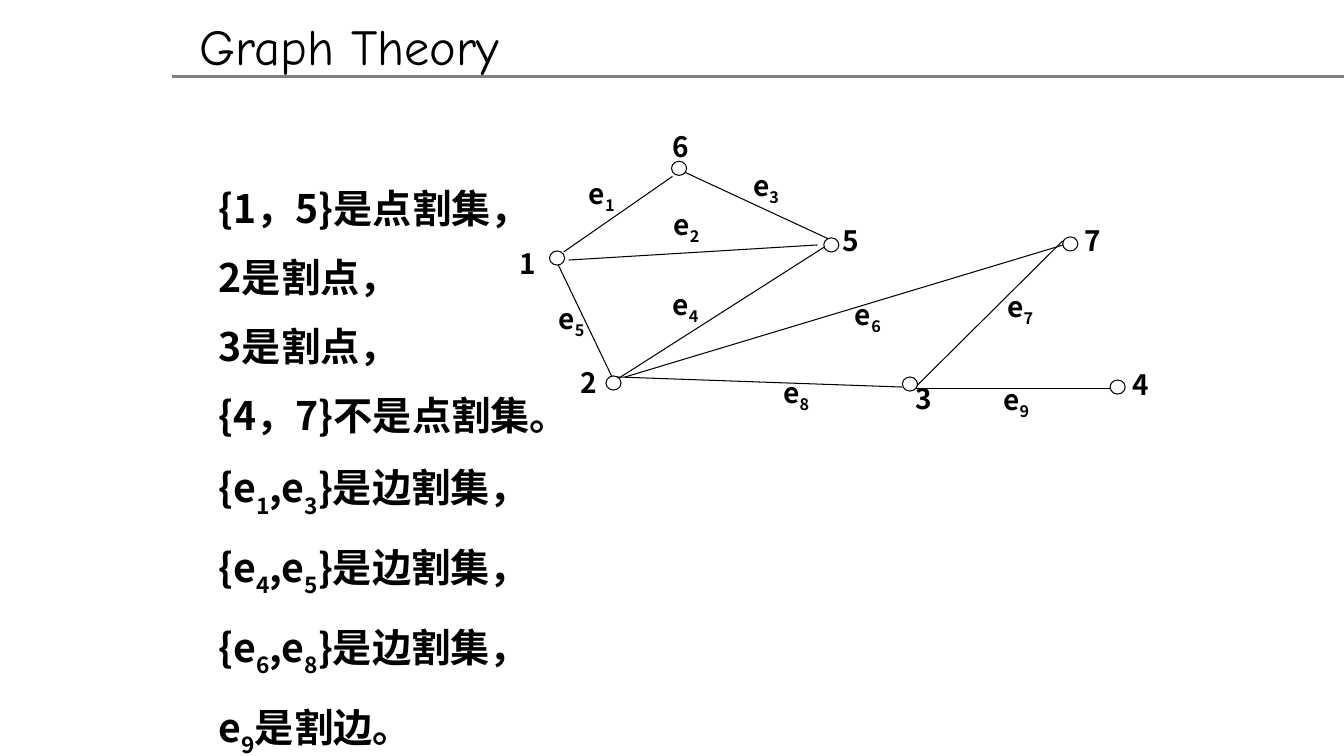
from lxml import etree
from pptx import Presentation
from pptx.dml.color import RGBColor
from pptx.enum import shapes, text
from pptx.oxml.ns import qn
from pptx.util import Inches, Pt

BLACK = RGBColor(0x00, 0x00, 0x00)
WHITE = RGBColor(0xFF, 0xFF, 0xFF)
GRAY = RGBColor(0x80, 0x80, 0x80)
CJK = "Noto Sans CJK SC"
NODE_W, NODE_H = 0.15, 0.14

# An underscore lowers the character that follows it
STATEMENTS = [
    "{1，5}是点割集，", "2是割点，", "3是割点，", "{4，7}不是点割集。",
    "{e_1,e_3}是边割集，", "{e_4,e_5}是边割集，", "{e_6,e_8}是边割集，", "e_9是割边。",
]
# Vertex name: circle left and top, label left and top
VERTICES = {
    "1": (5.45, 2.49, 5.15, 2.45),
    "2": (6.01, 3.73, 5.76, 3.63),
    "3": (8.95, 3.74, 9.08, 3.78),
    "4": (11.01, 3.77, 11.23, 3.65),
    "5": (8.17, 2.36, 8.36, 2.22),
    "6": (6.66, 1.6, 6.67, 1.28),
    "7": (10.54, 2.35, 10.76, 2.22),
}
# Edge name: start, end, label left and top
EDGES = {
    "e_1": (5.59, 2.5, 6.67, 1.75, 5.84, 1.75),
    "e_2": (5.64, 2.58, 8.11, 2.43, 6.68, 2.06),
    "e_3": (6.73, 1.68, 8.26, 2.39, 7.47, 1.67),
    "e_4": (8.24, 2.41, 6.14, 3.75, 6.67, 2.85),
    "e_5": (5.49, 2.53, 6.08, 3.76, 5.54, 2.99),
    "e_6": (6.2, 3.74, 10.68, 2.39, 8.48, 2.95),
    "e_7": (10.54, 2.39, 9.06, 3.86, 9.99, 2.87),
    "e_8": (6.12, 3.74, 8.95, 3.84, 7.77, 3.72),
    "e_9": (9.08, 3.85, 11.15, 3.85, 9.95, 3.79),
}


def place(sp, left, top, width, height):
    sp.left, sp.top = Inches(left), Inches(top)
    sp.width, sp.height = Inches(width), Inches(height)


def set_font(p, name, size, bold=False):
    p.font.name, p.font.size, p.font.bold = name, Pt(size), bold
    p.font.color.rgb = BLACK


def add_run(p, content, baseline=0):
    r = p.add_run()
    r.text = content
    rPr = r._r.get_or_add_rPr()
    if baseline:
        rPr.set("baseline", str(baseline * 1000))
    etree.SubElement(rPr, qn("a:ea")).set("typeface", CJK)


def write_subscripted(p, content, baseline):
    first, *rest = content.split("_")
    add_run(p, first)
    for part in rest:
        add_run(p, part[0], baseline)
        if part[1:]:
            add_run(p, part[1:])


def add_line(parent, x1, y1, x2, y2, color=BLACK, width=0.75):
    line = parent.add_connector(shapes.MSO_CONNECTOR.STRAIGHT,
                                Inches(x1), Inches(y1), Inches(x2), Inches(y2))
    line.line.color.rgb, line.line.width = color, Pt(width)
    etree.SubElement(line._element.spPr, qn("a:effectLst"))


def add_node(parent, left, top):
    sp = parent.add_shape(shapes.MSO_SHAPE.OVAL, Inches(left), Inches(top),
                          Inches(NODE_W), Inches(NODE_H))
    sp.shadow.inherit = False
    sp.fill.solid()
    sp.fill.fore_color.rgb = WHITE
    sp.line.color.rgb, sp.line.width = BLACK, Pt(0.75)


def add_label(parent, content, left, top, width):
    sp = parent.add_textbox(Inches(left), Inches(top), Inches(width), Inches(0.49))
    tf = sp.text_frame
    tf.word_wrap = True
    tf.margin_left = tf.margin_right = tf.margin_top = tf.margin_bottom = 0
    p = tf.paragraphs[0]
    p.alignment = text.PP_ALIGN.JUSTIFY
    set_font(p, CJK, 20, bold=True)
    write_subscripted(p, content, -25)


def fill_title(title):
    place(title, 1.88, 0.1, 8.62, 0.71)
    tf = title.text_frame
    tf.text = "Graph Theory"
    tf.vertical_anchor = text.MSO_ANCHOR.TOP
    tf.auto_size = text.MSO_AUTO_SIZE.NONE
    p = tf.paragraphs[0]
    p.alignment = text.PP_ALIGN.LEFT
    set_font(p, "Comic Neue", 36)


def fill_statements(body):
    place(body, 2.07, 1.64, 4.8, 6.09)
    tf = body.text_frame
    tf.auto_size = text.MSO_AUTO_SIZE.NONE
    for i, statement in enumerate(STATEMENTS):
        p = tf.add_paragraph() if i else tf.paragraphs[0]
        p.line_spacing = 1.3
        etree.SubElement(p._p.get_or_add_pPr(), qn("a:buNone"))
        set_font(p, CJK, 28, bold=True)
        write_subscripted(p, statement, -30)


def add_graph(slide):
    graph = slide.shapes.add_group_shape().shapes
    for *ends, _, _ in EDGES.values():
        add_line(graph, *ends)
    for name, (left, top, label_left, label_top) in VERTICES.items():
        add_node(graph, left, top)
        add_label(graph, name, label_left, label_top, 0.29)
    for name, (*_, label_left, label_top) in EDGES.items():
        add_label(graph, name, label_left, label_top, 0.59)


def main():
    prs = Presentation()
    prs.slide_width, prs.slide_height = Inches(13.33), Inches(7.5)
    slide = prs.slides.add_slide(prs.slide_layouts[1])
    # Header: title above a rule
    fill_title(slide.shapes.title)
    add_line(slide.shapes, 1.71, 0.76, 13.33, 0.76, GRAY, 2)
    # Statements and the graph they describe
    fill_statements(slide.placeholders[1])
    add_graph(slide)
    prs.save("out.pptx")


if __name__ == "__main__":
    main()
